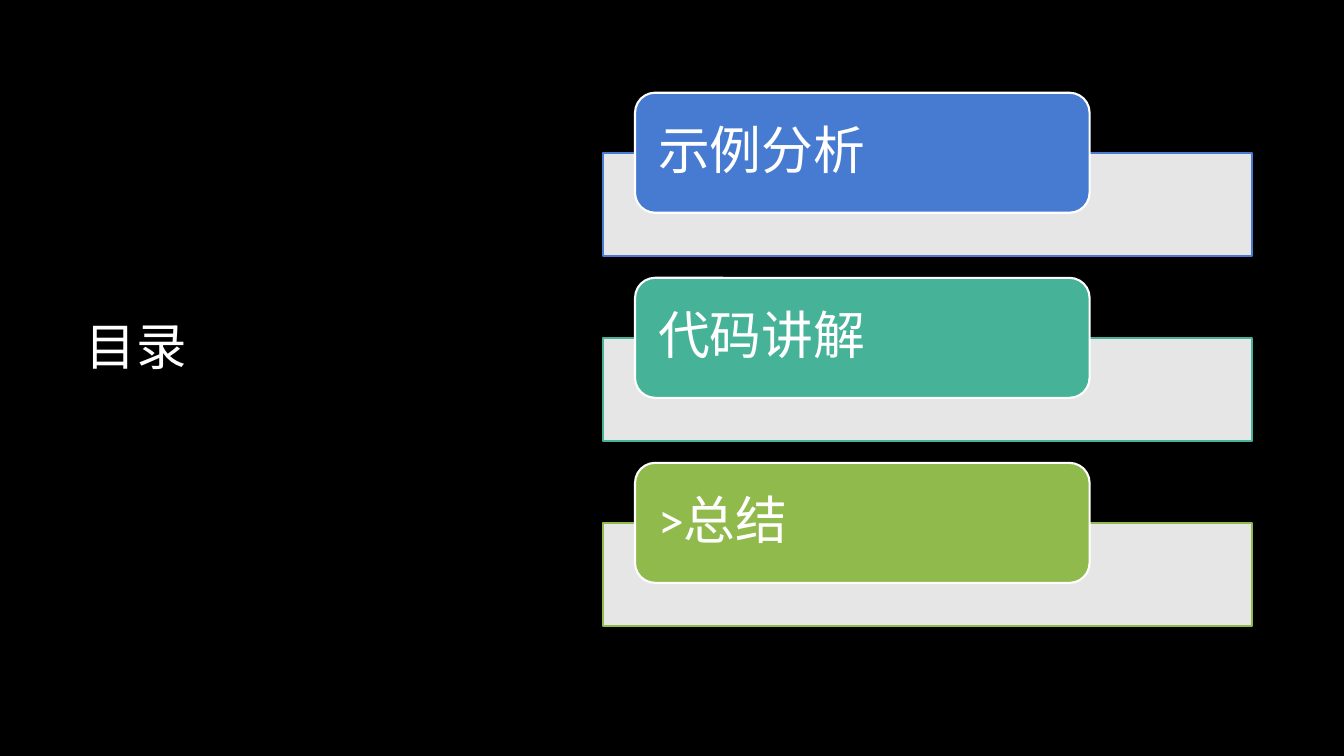
from dataclasses import dataclass

from lxml.etree import SubElement as Sub
from pptx import Presentation
from pptx.dml.color import RGBColor as RGB
from pptx.enum.shapes import MSO_SHAPE as Kind
from pptx.enum.text import MSO_ANCHOR as Anchor, MSO_AUTO_SIZE as Fit, PP_ALIGN as Align
from pptx.oxml.ns import qn
from pptx.util import Inches, Pt

WIDE, HIGH = Inches(13.33), Inches(7.5)
COL, ROW = WIDE / 100, HIGH / 100


@dataclass(frozen=True)
class Theme:
    back: str = "000000"
    ink: str = "FFFFFF"
    head: float = 36
    body: float = 37
    edge: float = 1.5
    latin: str = "Calibri"
    asian: str = "Noto Sans CJK SC"


@dataclass(frozen=True)
class Box:
    """Place and size in columns and rows of the slide's 100 by 100 grid."""
    col: float
    row: float
    wide: float
    high: float

    def down(self, rows: float) -> "Box":
        return Box(self.col, self.row + rows, self.wide, self.high)

    def form(self) -> dict:
        return {"left": round(self.col * COL), "top": round(self.row * ROW),
                "width": round(self.wide * COL), "height": round(self.high * ROW)}


@dataclass(frozen=True)
class Topic:
    text: str
    hue: str


LOOK = Theme()
TITLE = Box(5.62, 9.33, 27.53, 72.8)
BAR = Box(44.85, 20.25, 48.3, 13.6)
TAB = Box(47.25, 12.27, 33.82, 15.87)
STEP = 24.48
TOPICS = [Topic("示例分析", "477BD1"), Topic("代码讲解", "46B298"), Topic(">总结", "90BA4C")]


def style(item, form: dict) -> None:
    for key, val in form.items():
        setattr(item, key, val)


def write(shape, text: str, face: str, size: float, frame: dict, para: dict) -> None:
    style(shape.text_frame, {"vertical_anchor": Anchor.MIDDLE, "word_wrap": True,
                             "auto_size": Fit.NONE, **frame})
    line = shape.text_frame.paragraphs[0]
    style(line, {"alignment": Align.LEFT, **para})
    run = line.add_run()
    run.text = text
    style(run.font, {"name": face, "size": Pt(size)})
    run.font.color.rgb = RGB.from_string(LOOK.ink)
    Sub(run.font._element, qn("a:ea")).set("typeface", LOOK.asian)


def block(slide, kind: Kind, box: Box, fill: str, edge: str):
    shape = slide.shapes.add_shape(kind, *box.form().values())
    shape.shadow.inherit = False
    shape.fill.solid()
    shape.fill.fore_color.rgb = RGB.from_string(fill)
    shape.line.color.rgb = RGB.from_string(edge)
    shape.line.width = Pt(LOOK.edge)
    return shape


def fade(shape, share: int) -> None:
    """Set the fill's opacity in percent."""
    tint = shape._element.spPr.find(qn("a:solidFill"))[0]
    Sub(tint, qn("a:alpha")).set("val", str(share * 1000))


def entry(slide, topic: Topic, rows: float) -> None:
    bar = block(slide, Kind.RECTANGLE, BAR.down(rows), LOOK.ink, topic.hue)
    fade(bar, 90)
    tab = block(slide, Kind.ROUNDED_RECTANGLE, TAB.down(rows), topic.hue, LOOK.ink)
    pad = {"margin_left": Inches(0.17), "margin_right": Inches(0.17),
           "margin_top": 0, "margin_bottom": 0}
    write(tab, topic.text, LOOK.latin, LOOK.body, pad, {"line_spacing": 0.9})


def main() -> None:
    deck = Presentation()
    style(deck, {"slide_width": WIDE, "slide_height": HIGH})
    slide = deck.slides.add_slide(deck.slide_layouts.get_by_name("Title Only"))
    slide.background.fill.solid()
    slide.background.fill.fore_color.rgb = RGB.from_string(LOOK.back)
    title = slide.shapes.title
    style(title, TITLE.form())
    write(title, "目录", LOOK.asian, LOOK.head, {}, {})
    for nth, topic in enumerate(TOPICS):
        entry(slide, topic, nth * STEP)
    deck.save("out.pptx")


if __name__ == "__main__":
    main()
